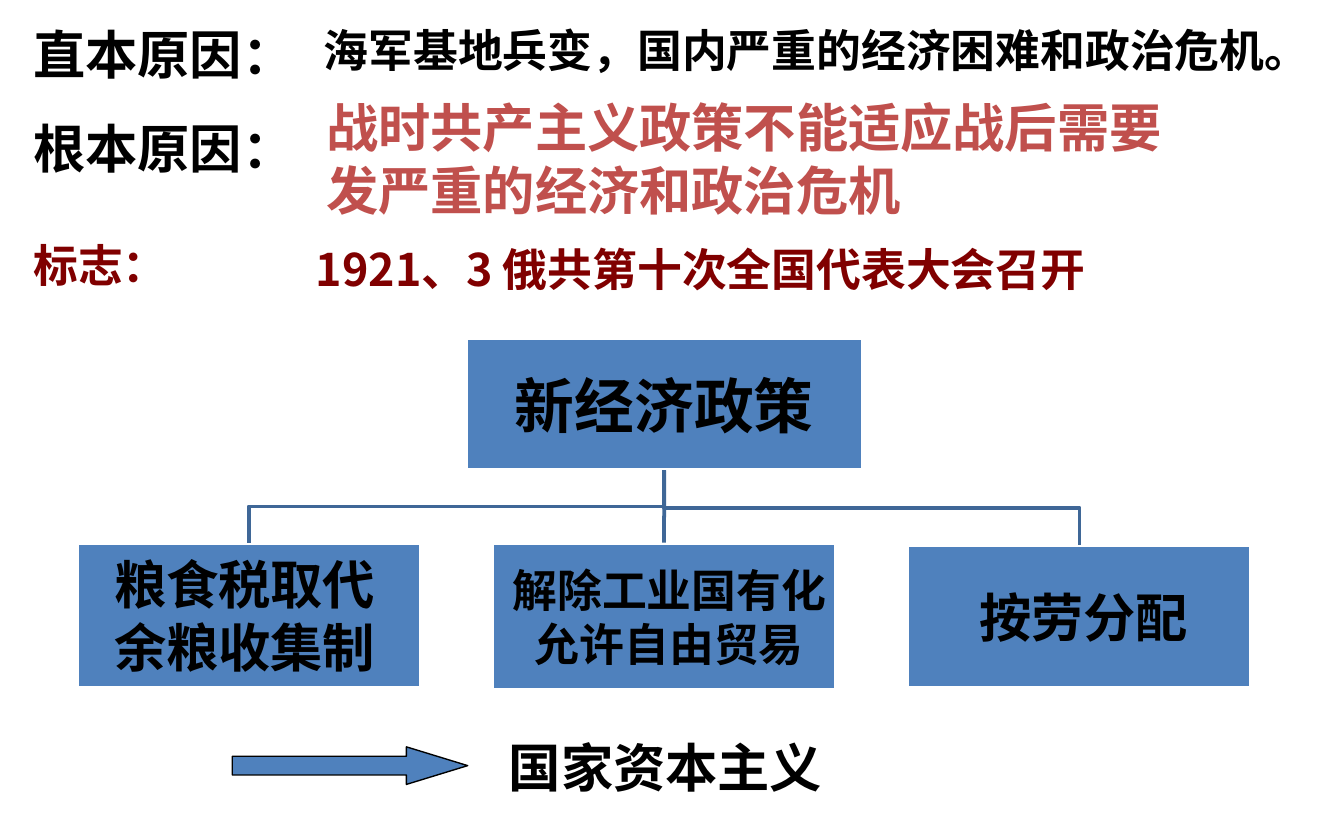
from dataclasses import dataclass

from lxml import etree
from pptx import Presentation
from pptx.dml.color import RGBColor
from pptx.enum.shapes import MSO_CONNECTOR, MSO_SHAPE
from pptx.enum.text import MSO_ANCHOR, MSO_AUTO_SIZE, PP_ALIGN
from pptx.oxml.ns import qn
from pptx.util import Cm, Pt

LEFT, CENTER = PP_ALIGN.LEFT, PP_ALIGN.CENTER
MIDDLE = MSO_ANCHOR.MIDDLE
RECTANGLE, ARROW = MSO_SHAPE.RECTANGLE, MSO_SHAPE.RIGHT_ARROW
STRAIGHT = MSO_CONNECTOR.STRAIGHT


@dataclass(frozen=True)
class Theme:
    black: RGBColor = RGBColor(0, 0, 0)
    white: RGBColor = RGBColor(255, 255, 255)
    red: RGBColor = RGBColor(0xC0, 0x50, 0x4D)
    maroon: RGBColor = RGBColor(0x80, 0, 0)
    node: RGBColor = RGBColor(0x4F, 0x81, 0xBD)
    branch: RGBColor = RGBColor(0x3F, 0x67, 0x97)
    chinese: str = "Noto Sans CJK SC"
    latin: str = "Arial"
    small: Pt = Pt(24)
    medium: Pt = Pt(28)
    large: Pt = Pt(32)


theme = Theme()


def write(box, lines, size, color, align=LEFT, font=theme.chinese):
    frame = box.text_frame
    frame.word_wrap = True
    frame.text = "\n".join(lines)
    for paragraph in frame.paragraphs:
        paragraph.alignment = align
        paragraph.font.size = size
        paragraph.font.bold = True
        paragraph.font.color.rgb = color
        paragraph.font.name = font
        defaults = paragraph._p.pPr.find(qn("a:defRPr"))
        etree.SubElement(defaults, qn("a:ea")).set("typeface", theme.chinese)


def paint(shape, line_color, line_width):
    shape.fill.solid()
    shape.fill.fore_color.rgb = theme.node
    shape.line.color.rgb = line_color
    shape.line.width = line_width


deck = Presentation()
deck.slide_width, deck.slide_height = Cm(25.4), Cm(15.88)
page = deck.slides.add_slide(deck.slide_layouts[5])

notes_on_causes = [
    (0.38, 0.3, 5.52, 1.45, ["直本原因："], theme.medium, theme.black),
    (0.38, 2.08, 5.52, 1.45, ["根本原因："], theme.medium, theme.black),
    (0.38, 4.37, 3.66, 1.3, ["标志："], theme.small, theme.maroon),
    (5.87, 0.3, 21.41, 1.3, ["海军基地兵变，国内严重的经济困难和政治危机。"], theme.small, theme.black),
    (5.92, 1.68, 20.78, 2.64, ["战时共产主义政策不能适应战后需要", "发严重的经济和政治危机"], theme.medium, theme.red),
    (5.72, 4.45, 15.37, 2.3, ["1921、3 俄共第十次全国代表大会召开"], theme.small, theme.maroon),
    (9.37, 13.77, 6.93, 1.45, ["国家资本主义"], theme.medium, theme.black),
]
for left, top, width, height, lines, size, color in notes_on_causes:
    box = page.shapes.add_textbox(Cm(left), Cm(top), Cm(width), Cm(height))
    write(box, lines, size, color)

policy = page.shapes.title
policy.left, policy.top, policy.width, policy.height = Cm(8.81), Cm(6.4), Cm(7.49), Cm(2.49)
paint(policy, theme.white, Pt(2))
write(policy, ["新经济政策"], theme.large, theme.black, CENTER, theme.latin)
policy.text_frame.auto_size = MSO_AUTO_SIZE.NONE
policy.text_frame.vertical_anchor = MIDDLE

measures = [
    (10.26, 2.74, 0.71, 0, ["粮食税取代余粮收集制"], theme.medium, LEFT),
    (10.26, 2.79, 0.25, 0.05, ["解除工业国有化", "允许自由贸易"], theme.small, CENTER),
    (10.31, 2.69, 0.2, 0.05, ["按劳分配"], theme.medium, CENTER),
]
trunk = policy.left + policy.width // 2
bottom = policy.top + policy.height
for index, (top, height, inset_left, inset_right, lines, size, align) in enumerate(measures):
    node = page.shapes.add_shape(RECTANGLE, Cm(1.45 + 7.85 * index), Cm(top), Cm(6.5), Cm(height))
    node.shadow.inherit = False
    paint(node, theme.white, Pt(2))
    write(node, lines, size, theme.black, align)
    frame = node.text_frame
    frame.vertical_anchor = MIDDLE
    frame.margin_left, frame.margin_right = Cm(inset_left), Cm(inset_right)
    frame.margin_top = frame.margin_bottom = 0

    if index == 1:
        branch = page.shapes.add_connector(STRAIGHT, trunk, bottom, trunk, node.top)
        branch.begin_connect(policy, 2)
        branch.end_connect(node, 0)
        etree.SubElement(branch._element.spPr, qn("a:effectLst"))
    else:
        center = node.left + node.width // 2
        bend = (bottom + node.top) // 2
        outline = page.shapes.build_freeform(trunk, bottom)
        outline.add_line_segments([(trunk, bend), (center, bend), (center, node.top)], close=False)
        branch = outline.convert_to_shape()
        branch.shadow.inherit = False
        branch.fill.background()
    branch.line.color.rgb = theme.branch
    branch.line.width = Pt(2)

arrow = page.shapes.add_shape(ARROW, Cm(4.39), Cm(14.12), Cm(4.45), Cm(0.71))
arrow.shadow.inherit = False
arrow.adjustments[0], arrow.adjustments[1] = 0.5, 1.63
paint(arrow, theme.black, Pt(0.75))

deck.save("out.pptx")
